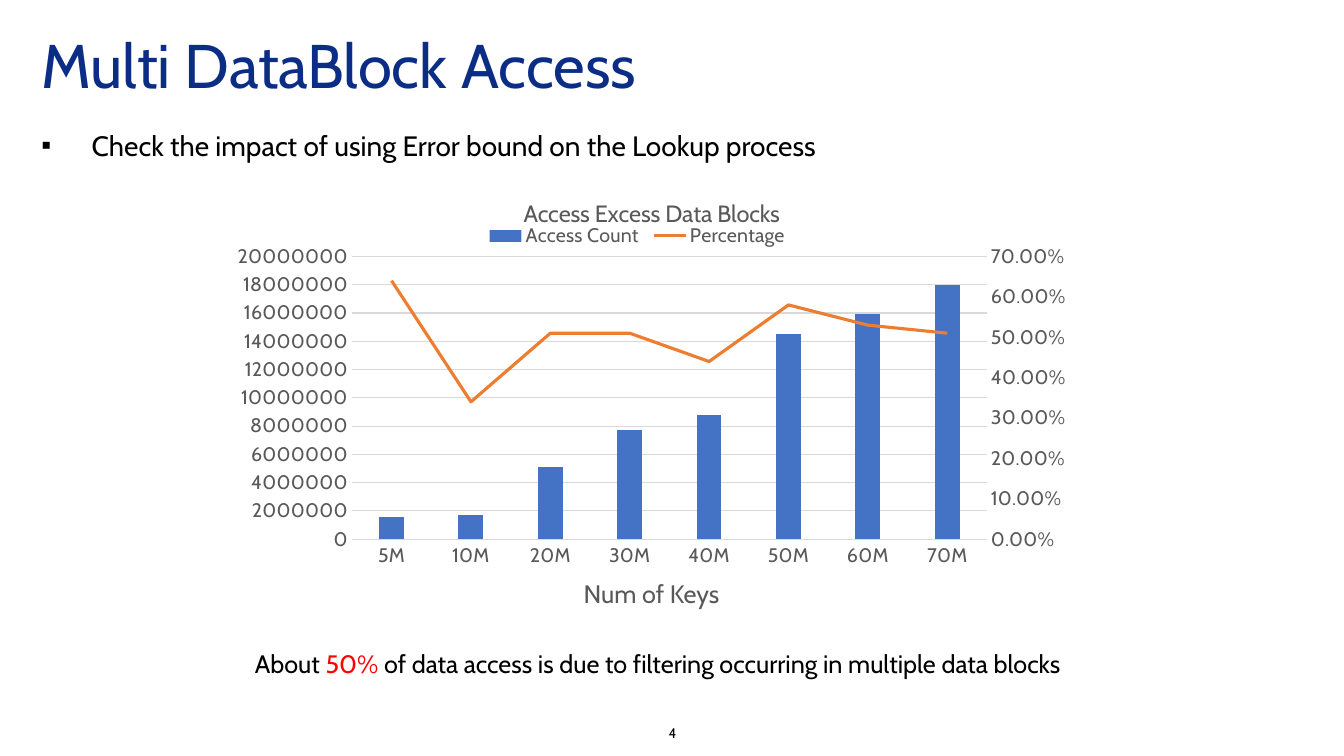
from copy import deepcopy

from lxml import etree
from pptx import Presentation
from pptx.chart.axis import CategoryAxis, ValueAxis
from pptx.chart.data import CategoryChartData
from pptx.dml.color import RGBColor
from pptx.enum.chart import XL_CHART_TYPE, XL_LEGEND_POSITION, XL_MARKER_STYLE, XL_TICK_MARK
from pptx.enum.text import MSO_ANCHOR, PP_ALIGN
from pptx.oxml import parse_xml
from pptx.oxml.ns import nsdecls, qn
from pptx.util import Inches, Pt

COLUMN_CLUSTERED = XL_CHART_TYPE.COLUMN_CLUSTERED
LEGEND_BOTTOM = XL_LEGEND_POSITION.BOTTOM
NO_MARKER = XL_MARKER_STYLE.NONE
NO_TICK = XL_TICK_MARK.NONE
MIDDLE, TOP = MSO_ANCHOR.MIDDLE, MSO_ANCHOR.TOP
LEFT, CENTER = PP_ALIGN.LEFT, PP_ALIGN.CENTER

NAVY, BLACK, RED = "0B2D86", "000000", "FF0000"
GRAY, GRID_GRAY = "595959", "D9D9D9"
BLUE, ORANGE = "4472C4", "ED7D31"
KEY_COUNTS = ["5M", "10M", "20M", "30M", "40M", "50M", "60M", "70M"]
ACCESS_COUNTS = [1600000, 1700000, 5100000, 7700000, 8800000, 14500000, 15900000, 18000000]
PERCENTAGES = [0.64, 0.34, 0.51, 0.51, 0.44, 0.58, 0.53, 0.51]


def color(value):
    return RGBColor.from_string(value)


class SlideBuilder:
    """Draws styled elements on one slide, placed on a grid of tenth-inch cells."""

    font_name = "Cabin"
    cell = Inches(0.1)

    def __init__(self, presentation):
        self.slide = presentation.slides.add_slide(presentation.slide_layouts[1])

    def cells(self, area):
        return [round(length * self.cell) for length in area]

    def style(self, font, size, font_color):
        font.name = self.font_name
        font.size = Pt(size)
        font.bold = False
        font.color.rgb = color(font_color)

    def placeholder(self, index, area, text, size, font_color, anchor, line_spacing):
        shape = self.slide.placeholders[index]
        shape.left, shape.top, shape.width, shape.height = self.cells(area)
        shape.text_frame.text = text
        shape.text_frame.vertical_anchor = anchor
        paragraph = shape.text_frame.paragraphs[0]
        paragraph.alignment = LEFT
        paragraph.line_spacing = line_spacing
        self.style(paragraph.runs[0].font, size, font_color)
        return paragraph

    def title(self, area, text):
        self.placeholder(0, area, text, 44, NAVY, MIDDLE, 0.9)

    def bullet(self, area, text):
        paragraph = self.placeholder(1, area, text, 20, BLACK, TOP, 1.25)
        paragraph.space_before = Pt(6)
        properties = paragraph._p.get_or_add_pPr()
        properties.set("marL", str(Inches(0.5)))
        properties.set("indent", str(-Inches(0.5)))
        etree.SubElement(properties, qn("a:buChar")).set("char", "▪")

    def text(self, area, pieces, size, alignment=LEFT, anchor=TOP, wrap=True):
        text_frame = self.slide.shapes.add_textbox(*self.cells(area)).text_frame
        text_frame.word_wrap = wrap
        text_frame.vertical_anchor = anchor
        paragraph = text_frame.paragraphs[0]
        paragraph.alignment = alignment
        for words, font_color in pieces:
            run = paragraph.add_run()
            run.text = words
            self.style(run.font, size, font_color)

    def combined_chart(self, area, title, plot_area, legend_area, title_area):
        data = CategoryChartData()
        data.categories = KEY_COUNTS
        data.add_series("Access Count", ACCESS_COUNTS, "0")
        data.add_series("Percentage", PERCENTAGES, "0.00%")
        frame = self.slide.shapes.add_chart(COLUMN_CLUSTERED, *self.cells(area), data)
        chart = frame.chart
        self.style(chart.font, 14, BLACK)
        chart.has_title = True
        chart.chart_title.text_frame.text = title
        self.style(chart.chart_title.text_frame.paragraphs[0].runs[0].font, 16.8, GRAY)
        chart.has_legend = True
        chart.legend.position = LEGEND_BOTTOM
        chart.legend.include_in_layout = False
        self.style(chart.legend.font, 14, GRAY)
        self.axes(chart)
        self.split_series(chart)

        bars, lines = chart.plots
        bars.gap_width, bars.overlap = 219, -27
        bars.vary_by_categories = False
        bars.series[0].format.fill.solid()
        bars.series[0].format.fill.fore_color.rgb = color(BLUE)
        percentage = lines.series[0]
        percentage.smooth = False
        percentage.marker.style = NO_MARKER
        percentage.format.line.width = Pt(2.25)
        percentage.format.line.color.rgb = color(ORANGE)

        self.layout(chart, "c:plotArea", area, plot_area)
        self.layout(chart, "c:legend", area, legend_area)
        self.layout(chart, "c:title", area, title_area)

    def axes(self, chart):
        for axis in (chart.category_axis, chart.value_axis):
            axis.major_tick_mark = axis.minor_tick_mark = NO_TICK
            self.style(axis.tick_labels.font, 14, GRAY)
        category_line = chart.category_axis.format.line
        category_line.color.rgb = color(GRID_GRAY)
        category_line.width = Pt(0.75)
        value_axis = chart.value_axis
        value_axis.format.line.fill.background()
        value_axis.minimum_scale, value_axis.maximum_scale = 0, 20000000
        value_axis.major_unit = 2000000
        gridline = value_axis.major_gridlines.format.line
        gridline.color.rgb = color(GRID_GRAY)
        gridline.width = Pt(0.75)

    def split_series(self, chart):
        """Moves the second series to a line plot with its own right-hand axis."""
        bar_chart = chart.element.xpath(".//c:barChart")[0]
        series = bar_chart.findall(qn("c:ser"))[1]
        for element in series.findall(qn("c:invertIfNegative")):
            series.remove(element)
        line_chart = parse_xml(
            f'<c:lineChart {nsdecls("c")}><c:grouping val="standard"/><c:varyColors val="0"/>'
            '<c:marker val="1"/><c:axId val="5001"/><c:axId val="5002"/></c:lineChart>')
        line_chart.find(qn("c:marker")).addprevious(series)
        bar_chart.addnext(line_chart)

        category = chart.element.xpath(".//c:catAx")[0]
        value = chart.element.xpath(".//c:valAx")[0]
        right_category, right_value = deepcopy(category), deepcopy(value)
        value.addnext(right_value)
        right_value.addnext(right_category)
        for axis, own, other in ((right_category, "5001", "5002"), (right_value, "5002", "5001")):
            axis.find(qn("c:axId")).set("val", own)
            axis.find(qn("c:crossAx")).set("val", other)
        right_value.find(qn("c:axPos")).set("val", "r")
        right_value.find(qn("c:crosses")).set("val", "max")
        CategoryAxis(right_category).visible = False
        right_axis = ValueAxis(right_value)
        right_axis.has_major_gridlines = False
        right_axis.maximum_scale, right_axis.major_unit = 0.7, 0.1
        right_axis.tick_labels.number_format = "0.00%"
        right_axis.tick_labels.number_format_is_linked = False

    def layout(self, chart, tag, chart_area, part_area):
        parent = chart.element.xpath(f"./c:chart/{tag}")[0]
        for element in parent.findall(qn("c:layout")):
            parent.remove(element)
        left, top, width, height = chart_area
        shares = {"x": (part_area[0] - left) / width, "y": (part_area[1] - top) / height}
        if len(part_area) == 4:
            shares.update(w=part_area[2] / width, h=part_area[3] / height)
        target = '<c:layoutTarget val="inner"/>' if tag == "c:plotArea" else ""
        modes = "".join(f'<c:{key}Mode val="edge"/>' for key in "xy")
        values = "".join(f'<c:{key} val="{share:.4f}"/>' for key, share in shares.items())
        element = parse_xml(f'<c:layout {nsdecls("c")}><c:manualLayout>{target}{modes}{values}'
                            '</c:manualLayout></c:layout>')
        overlay = parent.find(qn("c:overlay"))
        if overlay is None:
            parent.insert(0, element)
        else:
            overlay.addprevious(element)


def main():
    presentation = Presentation()
    presentation.slide_width = Inches(13.33)
    presentation.slide_height = Inches(7.5)
    builder = SlideBuilder(presentation)
    builder.title((3.1, 2.3, 104.3, 9.1), "Multi DataBlock Access")
    builder.text((51.7, 71.1, 30, 3.2), [("4", BLACK)], 10, CENTER, MIDDLE)
    builder.bullet((3.1, 11.4, 126.6, 58.3),
                   "Check the impact of using Error bound on the Lookup process")
    builder.text((56.9, 56.9, 15.5, 3.9), [("Num of Keys", GRAY)], 18, wrap=False)
    builder.combined_chart((21.9, 17.7, 85.5, 43.4), "Access Excess Data Blocks",
                           plot_area=(34.9, 25.45, 63, 28.05),
                           legend_area=(47.7, 22, 31, 2.8),
                           title_area=(51.5, 19.2))
    builder.text((24.3, 63.8, 87.7, 4),
                 [("About ", BLACK), ("50%", RED),
                  (" of data access is due to filtering occurring in multiple data blocks", BLACK)], 18)
    presentation.save("out.pptx")


if __name__ == "__main__":
    main()
